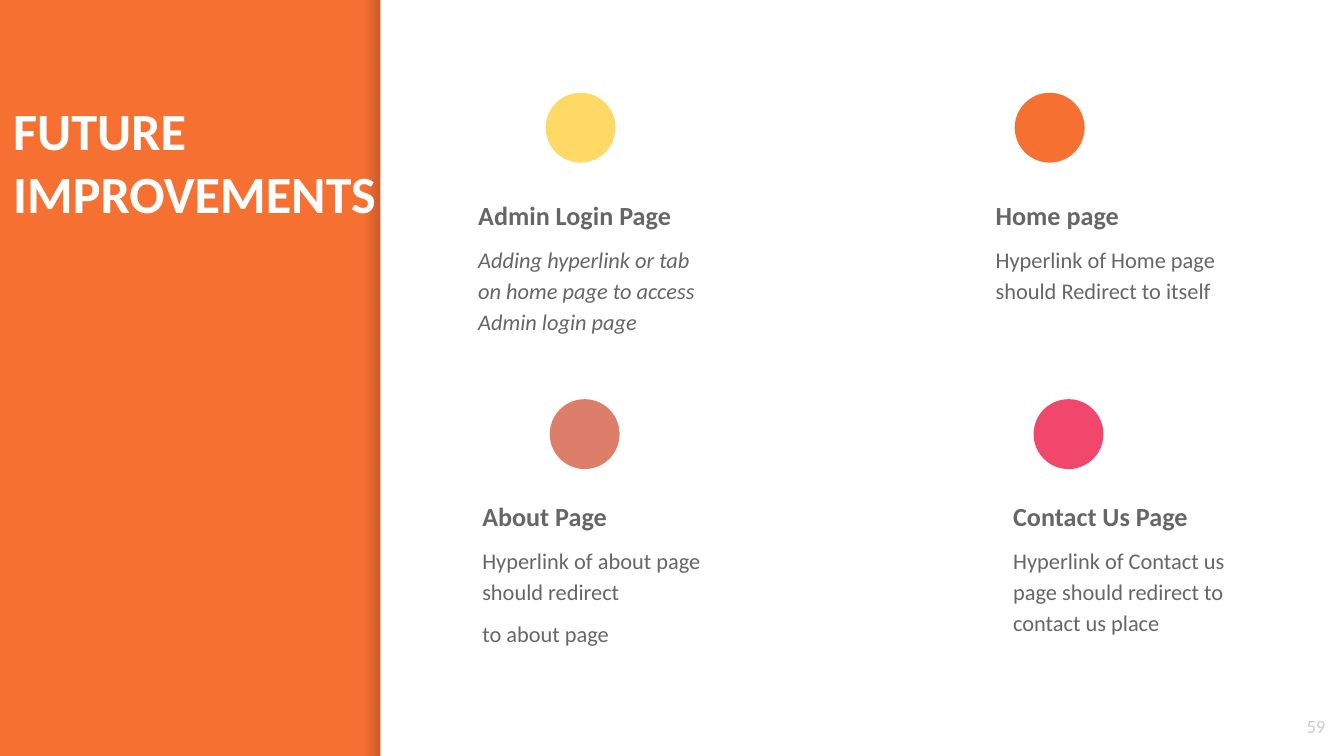
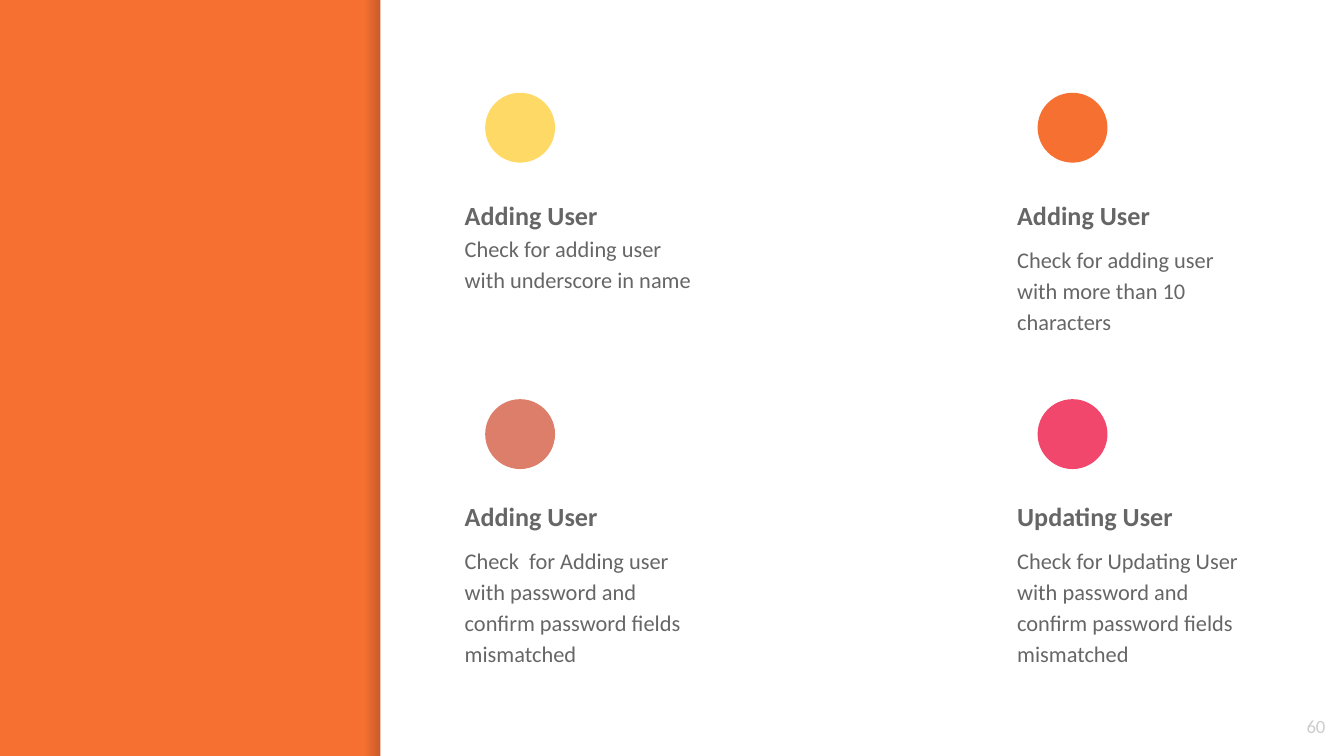
from dataclasses import dataclass

from lxml.etree import SubElement
from pptx import Presentation
from pptx.dml.color import RGBColor
from pptx.enum.shapes import MSO_SHAPE
from pptx.enum.text import MSO_ANCHOR, PP_ALIGN
from pptx.oxml.ns import qn
from pptx.util import Inches, Pt


@dataclass(frozen=True)
class Theme:
    font: str = "Calibri"
    orange: str = "F67031"
    white: str = "FFFFFF"
    shade: str = "000014"
    yellow: str = "FFD966"
    salmon: str = "DD7E6B"
    crimson: str = "ED0036"
    grey: str = "666666"
    pale: str = "CCCCCC"
    title_size: int = 28
    heading_size: int = 14
    body_size: int = 12
    number_size: int = 10


theme = Theme()

font_formats = {
    "title": {"size": Pt(theme.title_size), "bold": True},
    "heading": {"size": Pt(theme.heading_size), "bold": True},
    "body": {"size": Pt(theme.body_size), "bold": False},
    "italic": {"size": Pt(theme.body_size), "bold": False, "italic": True},
    "number": {"size": Pt(theme.number_size)},
}
text_colors = {"title": theme.white, "number": theme.pale}
item_spacing = {"line_spacing": 1.15}
paragraph_formats = {
    "heading": item_spacing,
    "body": item_spacing,
    "italic": item_spacing,
    "number": {"alignment": PP_ALIGN.RIGHT},
}
frame_format = {
    "word_wrap": True,
    "margin_left": Inches(0.1),
    "margin_right": Inches(0.1),
    "margin_top": Inches(0.1),
    "margin_bottom": Inches(0.1),
}


def add_filled(slide, preset, box, color, opacity=100):
    shape = slide.shapes.add_shape(preset, *map(Inches, box))
    shape.shadow.inherit = False
    shape.line.fill.background()
    shape.fill.solid()
    shape.fill.fore_color.rgb = RGBColor.from_string(color)
    if opacity < 100:
        tint = next(shape.element.iter(qn("a:srgbClr")))
        SubElement(tint, qn("a:alpha")).set("val", str(opacity * 1000))
    return shape


def add_text(slide, box, paragraphs, anchor=MSO_ANCHOR.TOP):
    frame = slide.shapes.add_textbox(*map(Inches, box)).text_frame
    for attribute, value in frame_format.items():
        setattr(frame, attribute, value)
    frame.vertical_anchor = anchor
    for index, runs in enumerate(paragraphs):
        paragraph = frame.add_paragraph() if index else frame.paragraphs[0]
        if index:
            paragraph.space_before = Pt(6)
        for attribute, value in paragraph_formats.get(runs[0][0], {}).items():
            setattr(paragraph, attribute, value)
        for position, (role, text) in enumerate(runs):
            if position:
                paragraph.add_line_break()
            run = paragraph.add_run()
            run.text = text
            run.font.name = theme.font
            run.font.color.rgb = RGBColor.from_string(text_colors.get(role, theme.grey))
            for attribute, value in font_formats[role].items():
                setattr(run.font, attribute, value)


slide_width = 10
slide_height = slide_width * 9 / 16
panel_left, shade_width = 2.83, 0.12
dot_size = 0.52
item_width, item_height = 1.96, 1.44
row_tops = [(0.69, 1.35), (2.97, 3.59)]
dot_fills = [
    (theme.yellow, 100),
    (theme.orange, 100),
    (theme.salmon, 100),
    (theme.crimson, 72),
]

pages = [
    {
        "number": "59",
        "title": "FUTURE IMPROVEMENTS",
        "dot_lefts": [4.06, 7.55, 4.09, 7.69],
        "item_lefts": [3.46, 7.31, 3.49, 7.44],
        "items": [
            [
                [("heading", "Admin Login Page")],
                [("italic", "Adding hyperlink or tab on home page to access Admin login page")],
            ],
            [
                [("heading", "Home page")],
                [("body", "Hyperlink of Home page should Redirect to itself")],
            ],
            [
                [("heading", "About Page")],
                [("body", "Hyperlink of about page should redirect")],
                [("body", "to about page")],
            ],
            [
                [("heading", "Contact Us Page")],
                [("body", "Hyperlink of Contact us page should redirect to contact us place")],
            ],
        ],
    },
    {
        "number": "60",
        "title": None,
        "dot_lefts": [3.61, 7.72] * 2,
        "item_lefts": [3.36, 7.47] * 2,
        "items": [
            [
                [
                    ("heading", "Adding User"),
                    ("body", "Check for adding user with underscore in name"),
                ],
            ],
            [
                [("heading", "Adding User")],
                [("body", "Check for adding user with more than 10 characters")],
            ],
            [
                [("heading", "Adding User")],
                [("body", "Check  for Adding user with password and confirm password fields mismatched")],
            ],
            [
                [("heading", "Updating User")],
                [("body", "Check for Updating User with password and confirm password fields mismatched")],
            ],
        ],
    },
]

deck = Presentation()
deck.slide_width = Inches(slide_width)
deck.slide_height = Inches(slide_height)

for page in pages:
    slide = deck.slides.add_slide(deck.slide_layouts[6])
    slide.background.fill.solid()
    slide.background.fill.fore_color.rgb = RGBColor.from_string(theme.orange)

    edge_box = (panel_left - shade_width, 0, shade_width, slide_height)
    edge_shade = add_filled(slide, MSO_SHAPE.RECTANGLE, edge_box, theme.shade)
    edge_shade.fill.gradient()
    edge_shade.fill.gradient_angle = 0
    for stop in edge_shade.fill.gradient_stops:
        stop.color.rgb = RGBColor.from_string(theme.shade)
    for tint, opacity in zip(edge_shade.element.iter(qn("a:srgbClr")), (0, 20)):
        SubElement(tint, qn("a:alpha")).set("val", str(opacity * 1000))

    panel_box = (panel_left, 0, slide_width - panel_left, slide_height)
    add_filled(slide, MSO_SHAPE.RECTANGLE, panel_box, theme.white)

    if page["title"]:
        add_text(slide, (0, 0.63, 2.92, 4.35), [[("title", page["title"])]])

    for index, item in enumerate(page["items"]):
        dot_top, item_top = row_tops[index // 2]
        dot_box = (page["dot_lefts"][index], dot_top, dot_size, dot_size)
        add_filled(slide, MSO_SHAPE.OVAL, dot_box, *dot_fills[index])
        add_text(slide, (page["item_lefts"][index], item_top, item_width, item_height), item)

    add_text(slide, (9.36, 5.19, 0.6, 0.43), [[("number", page["number"])]], MSO_ANCHOR.MIDDLE)

deck.save("out.pptx")
